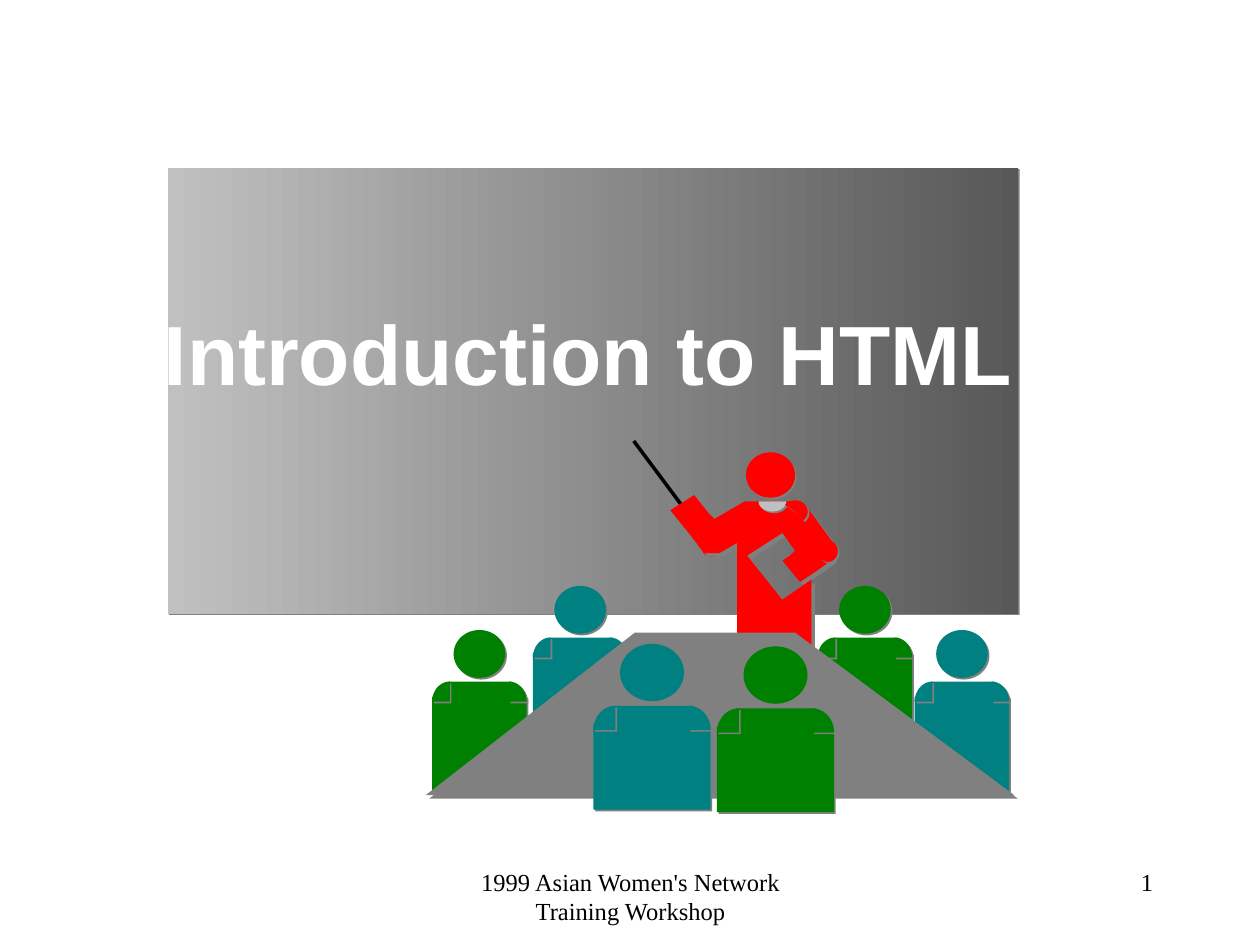
"""Builds the title slide of an HTML workshop, with a speaker and an audience at a table."""
import math

from lxml import etree
from pptx import Presentation
from pptx.dml.color import RGBColor
from pptx.enum.shapes import MSO_CONNECTOR, MSO_SHAPE
from pptx.enum.text import MSO_ANCHOR, MSO_AUTO_SIZE, PP_ALIGN
from pptx.oxml.ns import qn
from pptx.util import Inches, Pt

RECTANGLE, OVAL = MSO_SHAPE.RECTANGLE, MSO_SHAPE.OVAL
STRAIGHT = MSO_CONNECTOR.STRAIGHT
CENTER, RIGHT = PP_ALIGN.CENTER, PP_ALIGN.RIGHT
COLORS = {
    "dark": "585858", "light": "C0C0C0", "gray": "808080", "red": "FF0000",
    "green": "008000", "teal": "008080", "black": "000000", "white": "FFFFFF",
}
RGB = {name: RGBColor.from_string(value) for name, value in COLORS.items()}

presentation = Presentation()
presentation.slide_width, presentation.slide_height = Inches(10), Inches(7.5)
CELL = presentation.slide_width // 10
slide = presentation.slides.add_slide(presentation.slide_layouts[5])
drawing = slide.shapes.add_group_shape().shapes


def draw(color, box=None, kind=RECTANGLE, points=None, distance=1.4):
    """Adds a borderless preset shape or outline with a solid gray shadow."""
    if points:
        corners = [(round(x * CELL), round(y * CELL)) for x, y in points]
        builder = drawing.build_freeform(*corners[0])
        builder.add_line_segments(corners[1:], close=True)
        shape = builder.convert_to_shape()
    else:
        shape = drawing.add_shape(kind, *[round(length * CELL) for length in box])
    shape.fill.solid()
    shape.fill.fore_color.rgb = RGB[color]
    shape.line.fill.background()
    shape.shadow.inherit = False
    effects = shape._element.spPr.find(qn("a:effectLst"))
    shadow = etree.SubElement(effects, qn("a:outerShdw"), dist=str(Pt(distance)),
                              dir="2700000", algn="ctr", rotWithShape="0")
    etree.SubElement(shadow, qn("a:srgbClr"), val=COLORS["gray"])
    return shape


def draw_sector(color, x, y, radius_x, radius_y, start, end):
    """Adds a slice of an ellipse between two clockwise angles."""
    angles = [math.radians(start + (end - start) * step / 16) for step in range(17)]
    arc = [(x + radius_x * math.cos(a), y + radius_y * math.sin(a)) for a in angles]
    draw(color, points=[(x, y)] + arc)


board = draw("dark", (1.33, 1.33, 6.75, 3.54))
board.fill.gradient()
board.fill.gradient_angle = 180
for stop, position, color in zip(board.fill.gradient_stops, (0, 1), ("dark", "light")):
    stop.position = position
    stop.color.rgb = RGB[color]

pointer = drawing.add_connector(
    STRAIGHT, *[round(length * CELL) for length in (5.47, 4.09, 5.03, 3.5)])
pointer.line.color.rgb = RGB["black"]
pointer.line.width = Pt(2)
etree.SubElement(pointer._element.spPr, qn("a:effectLst"))

draw("red", (5.57, 4.29, 0.17, 0.13), OVAL)
draw("red", (5.92, 3.59, 0.39, 0.36), OVAL)
speaker_outline = [
    (6.24, 3.98), (6.31, 3.98), (6.41, 4.03), (6.62, 4.32), (6.61, 4.44),
    (6.47, 4.54), (6.35, 4.62), (6.21, 4.45), (6.27, 4.41), (6.31, 4.37),
    (6.21, 4.23), (5.93, 4.41), (6.21, 4.76), (6.44, 4.6), (6.44, 5.17),
    (5.85, 5.17), (5.85, 4.31), (5.71, 4.39), (5.59, 4.39), (5.58, 4.38),
    (5.49, 4.26), (5.32, 4.05), (5.51, 3.93), (5.63, 4.08), (5.67, 4.12),
    (5.91, 3.98),
]
draw("red", points=speaker_outline, distance=2.8)
draw("red", (6.49, 4.29, 0.16, 0.17), OVAL)
draw_sector("light", 6.13, 3.98, 0.11, 0.08, 0, 180)
draw_sector("red", 6.31, 4.06, 0.1, 0.09, 217, 410)

people = [
    ("teal", 7.26, 5, 1, 1, 0.78),
    ("green", 6.49, 4.65, 1, 1, 0.78),
    ("teal", 4.23, 4.65, 1, 1, 0.78),
    ("green", 3.43, 5, 1, 1, 0.78),
    ("table",),
    ("green", 5.69, 5.13, 1.24, 1.2, 0.68),
    ("teal", 4.71, 5.11, 1.24, 1.2, 0.68),
]
for color, *place in people:
    if color == "table":
        draw("gray", points=[(3.38, 6.31), (5.04, 5.02), (6.31, 5.02), (8.05, 6.31)],
             distance=2.8)
        continue
    left, top, wide, high, body = place
    shoulder = top + 0.41 * high
    draw(color, (left + 0.13 * wide, shoulder, 0.5 * wide, 0.19 * high))
    draw(color, (left, top + 0.53 * high, 0.75 * wide, body))
    for x, start in ((0.14, 180), (0.61, 270)):
        draw_sector(color, left + x * wide, shoulder + 0.16 * high,
                    0.14 * wide, 0.16 * high, start, start + 90)
    draw(color, (left + 0.17 * wide, top, 0.41 * wide, 0.38 * high), OVAL)

title = slide.shapes.title
footer, number = [slide.shapes.add_textbox(0, 0, CELL, CELL) for _ in range(2)]
texts = [
    (title, (1.17, 1.83, 7, 1.92), "Introduction to HTML", CENTER, "Arial", 48, "white"),
    (footer, (3.42, 6.83, 3.17, 0.5), "1999 Asian Women's Network Training Workshop",
     CENTER, "Times New Roman", 14, "black"),
    (number, (7.17, 6.83, 2.08, 0.5), "1", RIGHT, "Times New Roman", 14, "black"),
]
for shape, box, text, alignment, font_name, size, color in texts:
    shape.left, shape.top, shape.width, shape.height = [round(v * CELL) for v in box]
    frame = shape.text_frame
    frame.text = text
    frame.word_wrap = True
    frame.auto_size = MSO_AUTO_SIZE.NONE
    frame.vertical_anchor = MSO_ANCHOR.MIDDLE if shape is title else MSO_ANCHOR.TOP
    paragraph = frame.paragraphs[0]
    paragraph.alignment = alignment
    font = paragraph.runs[0].font
    font.name, font.size, font.bold = font_name, Pt(size), shape is title
    font.color.rgb = RGB[color]
slide.shapes._spTree.append(title._element)

presentation.save("out.pptx")
